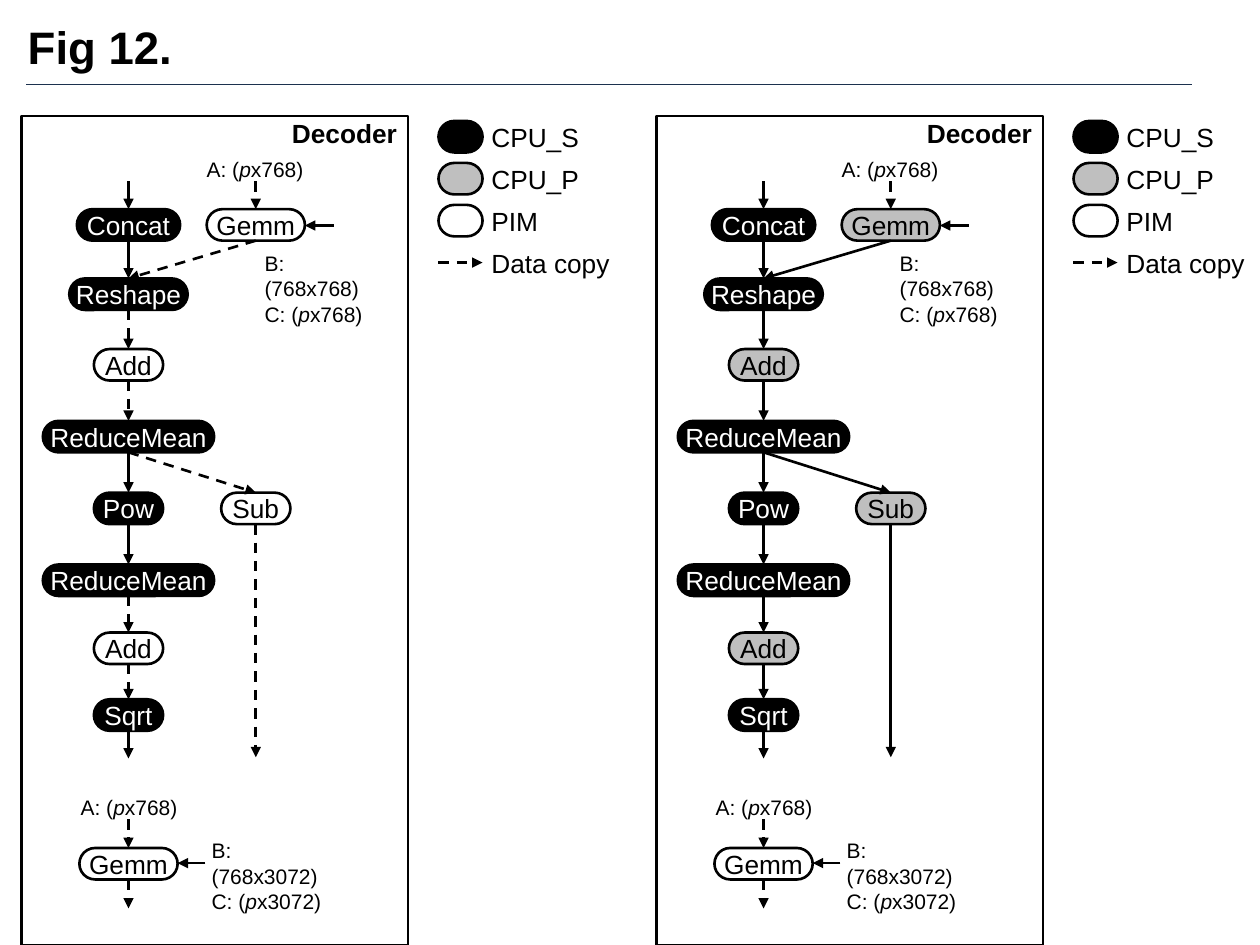
from lxml import etree
from pptx import Presentation
from pptx.dml.color import RGBColor
from pptx.enum.dml import MSO_LINE
from pptx.enum.shapes import MSO_CONNECTOR, MSO_SHAPE
from pptx.enum.text import MSO_ANCHOR, PP_ALIGN
from pptx.oxml.ns import qn
from pptx.util import Inches, Pt

STRAIGHT = MSO_CONNECTOR.STRAIGHT
RECT, PILL = MSO_SHAPE.RECTANGLE, MSO_SHAPE.ROUNDED_RECTANGLE
LEFT, CENTER, RIGHT = PP_ALIGN.LEFT, PP_ALIGN.CENTER, PP_ALIGN.RIGHT
TOP, MIDDLE = MSO_ANCHOR.TOP, MSO_ANCHOR.MIDDLE
TOP_SITE, BOTTOM_SITE = 0, 2

FONT, BLACK, WHITE = "Arial", "000000", "FFFFFF"
# processor: (fill, text colour)
PROCESSORS = {"CPU_S": (BLACK, WHITE), "CPU_P": ("BFBFBF", BLACK), "PIM": (WHITE, BLACK)}
LEGEND = ["CPU_S", "CPU_P", "PIM", "Data copy"]

MAIN, SIDE = 1.02, 2.03  # centre lines of the two columns
PILL_HEIGHT = 0.25
PANEL_LEFTS = [0.17, 5.21]

# key: (label, centre, top, width, processor in each panel)
NODES = {
    "concat": ("Concat", MAIN, 1.66, 0.82, ("CPU_S", "CPU_S")),
    "gemm": ("Gemm", SIDE, 1.66, 0.78, ("PIM", "CPU_P")),
    "reshape": ("Reshape", MAIN, 2.21, 0.94, ("CPU_S", "CPU_S")),
    "add": ("Add", MAIN, 2.77, 0.55, ("PIM", "CPU_P")),
    "mean": ("ReduceMean", MAIN, 3.34, 1.36, ("CPU_S", "CPU_S")),
    "sub": ("Sub", SIDE, 3.91, 0.55, ("PIM", "CPU_P")),
    "pow": ("Pow", MAIN, 3.91, 0.55, ("CPU_S", "CPU_S")),
    "mean_2": ("ReduceMean", MAIN, 4.48, 1.36, ("CPU_S", "CPU_S")),
    "add_2": ("Add", MAIN, 5.02, 0.55, ("PIM", "CPU_P")),
    "sqrt": ("Sqrt", MAIN, 5.55, 0.55, ("CPU_S", "CPU_S")),
    "last_gemm": ("Gemm", MAIN, 6.73, 0.78, ("PIM", "PIM")),
}
EDGES = [
    ("concat", "reshape"), ("gemm", "reshape"), ("reshape", "add"), ("add", "mean"),
    ("mean", "pow"), ("pow", "mean_2"), ("mean_2", "add_2"), ("add_2", "sqrt"), ("mean", "sub"),
]
# (from, to, data copy in each panel)
OPEN_ARROWS = [
    ((SIDE, 4.16), (SIDE, 6.01), (True, False)),
    ((MAIN, 5.8), (MAIN, 6.02), (False, False)),
    ((MAIN, 1.44), (MAIN, 1.66), (False, False)),
    ((MAIN, 6.5), (MAIN, 6.73), (True, True)),
    ((MAIN, 6.98), (MAIN, 7.21), (True, True)),
    ((SIDE, 1.44), (SIDE, 1.66), (True, True)),
    ((2.65, 1.79), (2.42, 1.79), (False, False)),
    ((1.63, 6.85), (1.41, 6.85), (False, False)),
]
# (box, paragraphs of runs); "p" is set in italics
OPERANDS = [
    ((1.64, 1.24, 0.84, 0.2), [["A: (", "p", "x768)"]]),
    ((2.1, 1.99, 0.9, 0.4), [["B: (768x768)"], ["C: (", "p", "x768)"]]),
    ((0.64, 6.31, 0.84, 0.2), [["A: (", "p", "x768)"]]),
    ((1.68, 6.65, 1.03, 0.4), [["B: (768x3072)"], ["C: (", "p", "x3072)"]]),
]


def rgb(color):
    return RGBColor.from_string(color)


def write(shape, paragraphs, size, color=BLACK, align=LEFT, anchor=TOP, bold=False):
    frame = shape.text_frame
    frame.word_wrap = True
    frame.vertical_anchor = anchor
    frame.margin_left = frame.margin_top = frame.margin_right = frame.margin_bottom = 0
    for number, runs in enumerate(paragraphs):
        paragraph = frame.add_paragraph() if number else frame.paragraphs[0]
        paragraph.alignment = align
        for text in runs:
            run = paragraph.add_run()
            run.text = text
            font = run.font
            font.name, font.size, font.bold, font.italic = FONT, Pt(size), bold, text == "p"
            font.color.rgb = rgb(color)


def add_label(parent, box, paragraphs, size, **style):
    write(parent.shapes.add_textbox(*map(Inches, box)), paragraphs, size, **style)


def add_outlined(parent, preset, box, fill=None):
    shape = parent.shapes.add_shape(preset, *map(Inches, box))
    shape.shadow.inherit = False
    if preset == PILL:
        shape.adjustments[0] = 0.5
    if fill:
        shape.fill.solid()
        shape.fill.fore_color.rgb = rgb(fill)
    else:
        shape.fill.background()
    shape.line.color.rgb = rgb(BLACK)
    shape.line.width = Pt(1.5)
    return shape


def add_line(parent, start, end, color=BLACK, width=1.5):
    line = parent.shapes.add_connector(STRAIGHT, *map(Inches, start + end))
    line.line.color.rgb = rgb(color)
    line.line.width = Pt(width)
    etree.SubElement(line._element.spPr, qn("a:effectLst"))
    return line


def add_arrow(parent, start, end, data_copy):
    arrow = add_line(parent, start, end)
    if data_copy:
        arrow.line.dash_style = MSO_LINE.DASH
    etree.SubElement(arrow.line._get_or_add_ln(), qn("a:tailEnd"), type="triangle")
    return arrow


def add_panel(slide, panel, left):
    group = slide.shapes.add_group_shape()
    shift = left - PANEL_LEFTS[0]

    def moved(place):
        return (place[0] + shift, *place[1:])

    pills = {}
    for key, (label, center, top, width, processors) in NODES.items():
        fill, color = PROCESSORS[processors[panel]]
        box = moved((center - width / 2, top, width, PILL_HEIGHT))
        pills[key] = add_outlined(group, PILL, box, fill)
        write(pills[key], [[label]], 15, color=color, align=CENTER, anchor=MIDDLE)

    for source, target in EDGES:
        _, x1, y1, _, source_on = NODES[source]
        _, x2, y2, _, target_on = NODES[target]
        # Data is copied wherever it enters or leaves the PIM
        data_copy = (source_on[panel] == "PIM") != (target_on[panel] == "PIM")
        arrow = add_arrow(group, moved((x1, y1 + PILL_HEIGHT)), moved((x2, y2)), data_copy)
        arrow.begin_connect(pills[source], BOTTOM_SITE)
        arrow.end_connect(pills[target], TOP_SITE)
    for start, end, data_copy in OPEN_ARROWS:
        add_arrow(group, moved(start), moved(end), data_copy[panel])

    add_outlined(group, RECT, (left, 0.92, 3.07, 6.58))
    add_label(group, moved((2.02, 0.93, 1.13, 0.25)), [["Decoder"]], 15, align=RIGHT, bold=True)
    for box, paragraphs in OPERANDS:
        add_label(group, moved(box), paragraphs, 12)

    for row, entry in enumerate(LEGEND):
        top = 0.96 + row * 0.333
        if entry in PROCESSORS:
            add_outlined(group, PILL, moved((3.48, top, 0.35, PILL_HEIGHT)), PROCESSORS[entry][0])
        else:
            middle = top + PILL_HEIGHT / 2
            add_arrow(group, moved((3.48, middle)), moved((3.83, middle)), True)
        add_label(group, moved((3.9, top, 1.06, 0.25)), [[entry]], 15)


def main():
    deck = Presentation()
    deck.slide_width, deck.slide_height = Inches(10), Inches(7.5)
    slide = deck.slides.add_slide(deck.slide_layouts[5])

    add_line(slide, (0.21, 0.67), (9.46, 0.67), color="1C314E", width=1)
    title = slide.shapes.title
    title.left, title.top, title.width, title.height = map(Inches, (0.12, 0.07, 9.19, 0.73))
    write(title, [["Fig 12."]], 26, bold=True)
    title.text_frame.margin_left = Inches(0.1)
    title.text_frame.margin_top = Inches(0.08)

    for panel, left in enumerate(PANEL_LEFTS):
        add_panel(slide, panel, left)
    deck.save("out.pptx")


if __name__ == "__main__":
    main()
